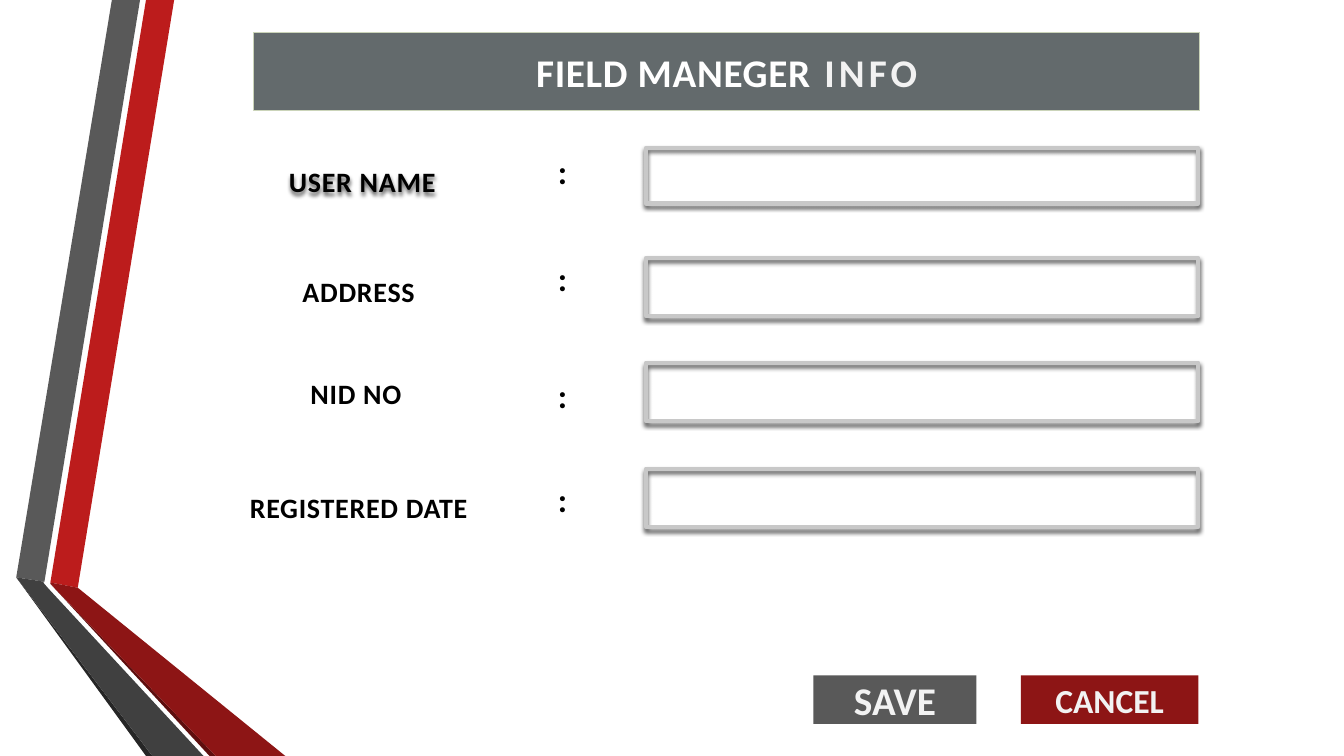
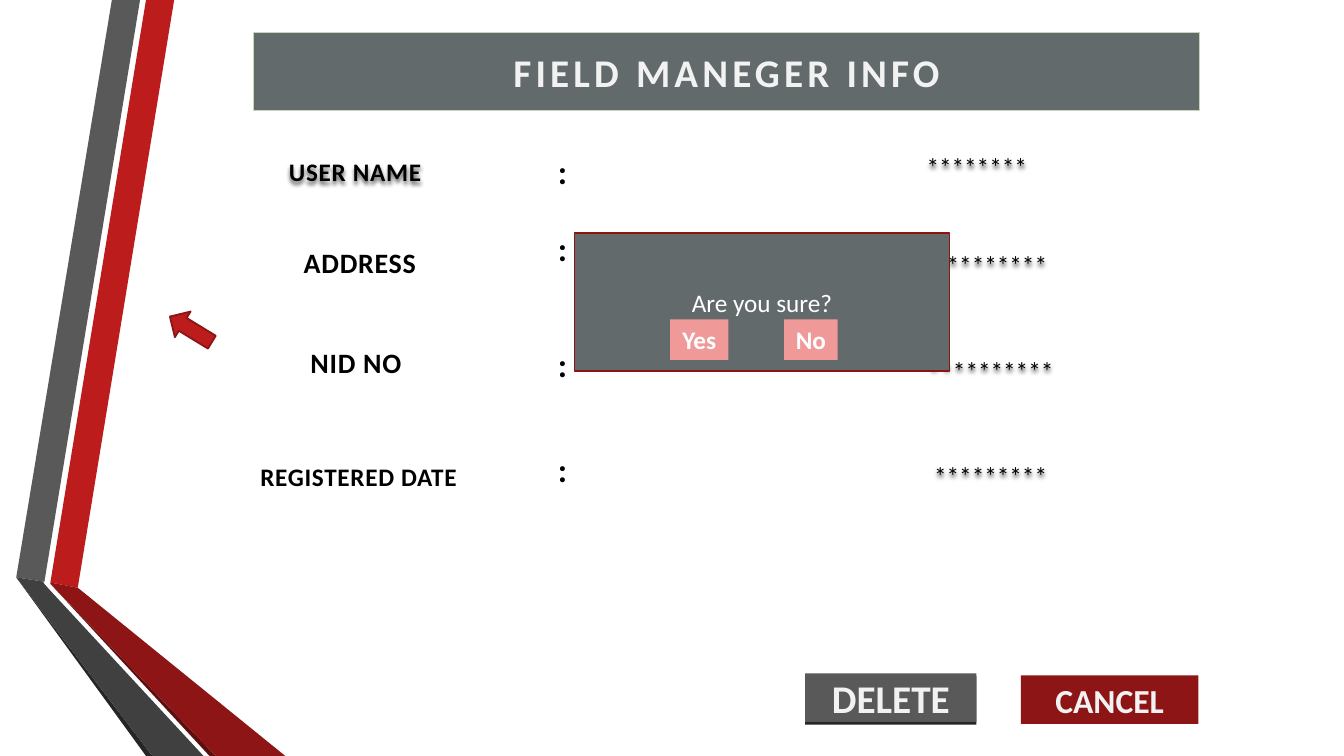
"""Build the field manager form and its delete confirmation."""
from lxml.etree import fromstring
from pptx import Presentation
from pptx.dml.color import RGBColor
from pptx.enum.shapes import MSO_SHAPE as Preset
from pptx.enum.text import MSO_ANCHOR as Anchor, MSO_AUTO_SIZE as AutoSize, PP_ALIGN as Align
from pptx.oxml.ns import nsdecls, qn
from pptx.util import Cm, Pt

rgb = RGBColor.from_string
BLACK, WHITE, PALE = "000000", "FFFFFF", "F2F2F2"
RED, DARK_RED, EDGE_RED, PINK = "BC1C1C", "8D1515", "8B1515", "F09999"
GREY, SLATE, CHARCOAL = "595959", "636A6C", "262626"

RIBBONS = [
    (RED, [(1.27, 14.68), (1.96, 14.81), (4.39, 0), (3.68, 0)]),
    (GREY, [(3.53, 0), (2.82, 0), (0.41, 14.55), (1.12, 14.66)]),
    (CHARCOAL, [(0.41, 14.55), (3.68, 19.05), (3.84, 19.05)]),
    ("5E0E0E", [(1.27, 14.71), (5.28, 19.05), (5.44, 19.05)]),
    (DARK_RED, [(1.27, 14.68), (1.27, 14.71), (5.44, 19.05), (7.19, 19.05), (1.96, 14.81)]),
    ("404040", [(5.13, 19.05), (1.22, 14.83), (1.09, 14.68), (1.12, 14.66),
                (0.41, 14.55), (3.84, 19.05)]),
]
SHADOW = (
    f'<a:outerShdw {nsdecls("a")} blurRad="38100" dist="25400" dir="5400000" algn="t" '
    'rotWithShape="0"><a:srgbClr val="000000"><a:alpha val="64000"/></a:srgbClr></a:outerShdw>'
)
LABEL_WIDTH, LABEL_HEIGHT = 6.5, 1.5
COLON_LEFT, COLON_WIDTH = 13.8, 0.75


def block(slide, area, fill=None, line=None, weight=1.25, preset=Preset.RECTANGLE):
    shape = slide.shapes.add_shape(preset, *map(Cm, area))
    shape.shadow.inherit = False
    for part, color in ((shape.fill, fill), (shape.line.fill, line)):
        if color:
            part.solid()
            part.fore_color.rgb = rgb(color)
        else:
            part.background()
    if line:
        shape.line.width = Pt(weight)
    return shape


def write(shape, runs, size, bold=True):
    frame = shape.text_frame
    layout = {"word_wrap": True, "auto_size": AutoSize.NONE, "vertical_anchor": Anchor.MIDDLE,
              "margin_left": 0, "margin_right": 0, "margin_top": 0, "margin_bottom": 0}
    for key, value in layout.items():
        setattr(frame, key, value)
    paragraph = frame.paragraphs[0]
    paragraph.alignment = Align.CENTER
    for text, color, spacing in runs:
        run = paragraph.add_run()
        run.text = text
        for key, value in {"name": "Calibri", "size": Pt(size), "bold": bold}.items():
            setattr(run.font, key, value)
        run.font.color.rgb = rgb(color)
        run._r.get_or_add_rPr().set("spc", str(spacing))
    return shape


deck = Presentation()
deck.slide_width, deck.slide_height = Cm(33.87), Cm(19.05)
form_layout = deck.slide_layouts[5]
entry, confirm = [deck.slides.add_slide(form_layout) for _ in range(2)]

for color, corners in RIBBONS:
    start, *rest = [(Cm(x), Cm(y)) for x, y in corners]
    builder = entry.shapes.build_freeform(*start)
    builder.add_line_segments(rest, close=True)
    ribbon = builder.convert_to_shape()
    ribbon.shadow.inherit = False
    ribbon.fill.solid()
    ribbon.fill.fore_color.rgb = rgb(color)
    ribbon.line.fill.background()
    form_layout.shapes._spTree.append(ribbon._element)

headings = [
    (entry, [("FIELD MANEGER", WHITE, 50), (" INFO", PALE, 300)]),
    (confirm, [("FIELD MANEGER INFO", PALE, 300)]),
]
for slide, heading in headings:
    banner = slide.shapes.title
    box = {"left": 6.4, "top": 0.81, "width": 23.83, "height": 1.98}
    for key, value in box.items():
        setattr(banner, key, Cm(value))
    banner.fill.solid()
    banner.fill.fore_color.rgb = rgb(SLATE)
    banner.line.color.rgb = rgb("CBD4B9")
    banner.line.width = Pt(0.75)
    write(banner, heading, 28)

rows = [
    (entry, "USER NAME", 20, 5.88, 4.57, 4.32),
    (entry, "ADDRESS", 20, 5.79, 7.34, 7.01),
    (entry, "NID NO", 20, 5.72, 9.91, 9.96),
    (entry, "REGISTERED DATE", 20, 5.79, 12.78, 12.57),
    (confirm, "USER NAME", 18, 5.7, 4.32, 4.32),
    (confirm, "ADDRESS", 20, 5.82, 6.6, 6.25),
    (confirm, "NID NO", 20, 5.72, 9.14, 9.17),
    (confirm, "REGISTERED DATE", 18, 5.79, 12.01, 11.81),
]
shadowed = []
for slide, name, size, left, label_middle, colon_middle in rows:
    parts = [(name, size, left, LABEL_WIDTH, label_middle),
             (":", 24, COLON_LEFT, COLON_WIDTH, colon_middle)]
    for text, points, x, width, middle in parts:
        area = (x, middle - LABEL_HEIGHT / 2, width, LABEL_HEIGHT)
        label = slide.shapes.add_textbox(*map(Cm, area))
        write(label, [(text, BLACK, 50)], points)
        if text == "USER NAME":
            shadowed.append(label)

for top, height in ((3.73, 1.4), (6.5, 1.47), (9.14, 1.47), (11.81, 1.47)):
    shadowed.append(block(entry, (16.28, top, 13.92, height), line="C8C8C8", weight=3))

for stars, left, top in ((8, 20.78, 3.47), (9, 21.13, 5.94), (10, 21.13, 8.59), (9, 21.13, 11.25)):
    masked = confirm.shapes.add_textbox(Cm(left), Cm(top), Cm(7.67), Cm(1.47))
    shadowed.append(write(masked, [("*" * stars, BLACK, 0)], 18, bold=False))

for shape in shadowed:
    shape.shadow.inherit = False
    shape._element.spPr.find(qn("a:effectLst")).append(fromstring(SHADOW))

block(confirm, (20.29, 17.04, 4.32, 1.22), CHARCOAL)
dialog = block(confirm, (14.6, 5.87, 9.45, 3.48), SLATE, EDGE_RED)
dialog.left = Cm(14.48)
write(dialog, [("Are you sure?", WHITE, 0)], 18, bold=False)

buttons = [
    (entry, "SAVE", 28, (20.5, 17.02, 4.11, 1.22), GREY, PALE),
    (entry, "CANCEL", 24, (25.73, 17.02, 4.47, 1.22), DARK_RED, PALE),
    (confirm, "DELETE", 28, (20.29, 16.97, 4.32, 1.22), GREY, PALE),
    (confirm, "CANCEL", 24, (25.73, 17.02, 4.47, 1.22), DARK_RED, PALE),
    (confirm, "Yes", 18, (16.89, 8.05, 1.47, 1.02), PINK, WHITE),
    (confirm, "No", 18, (19.76, 8.05, 1.35, 1.02), PINK, WHITE),
]
for slide, caption, size, area, fill, color in buttons:
    write(block(slide, area, fill), [(caption, color, 0)], size)

pointer = block(confirm, (4.19, 7.92, 1.24, 0.76), RED, EDGE_RED, preset=Preset.LEFT_ARROW)
pointer.rotation = 31.4

deck.save("out.pptx")
